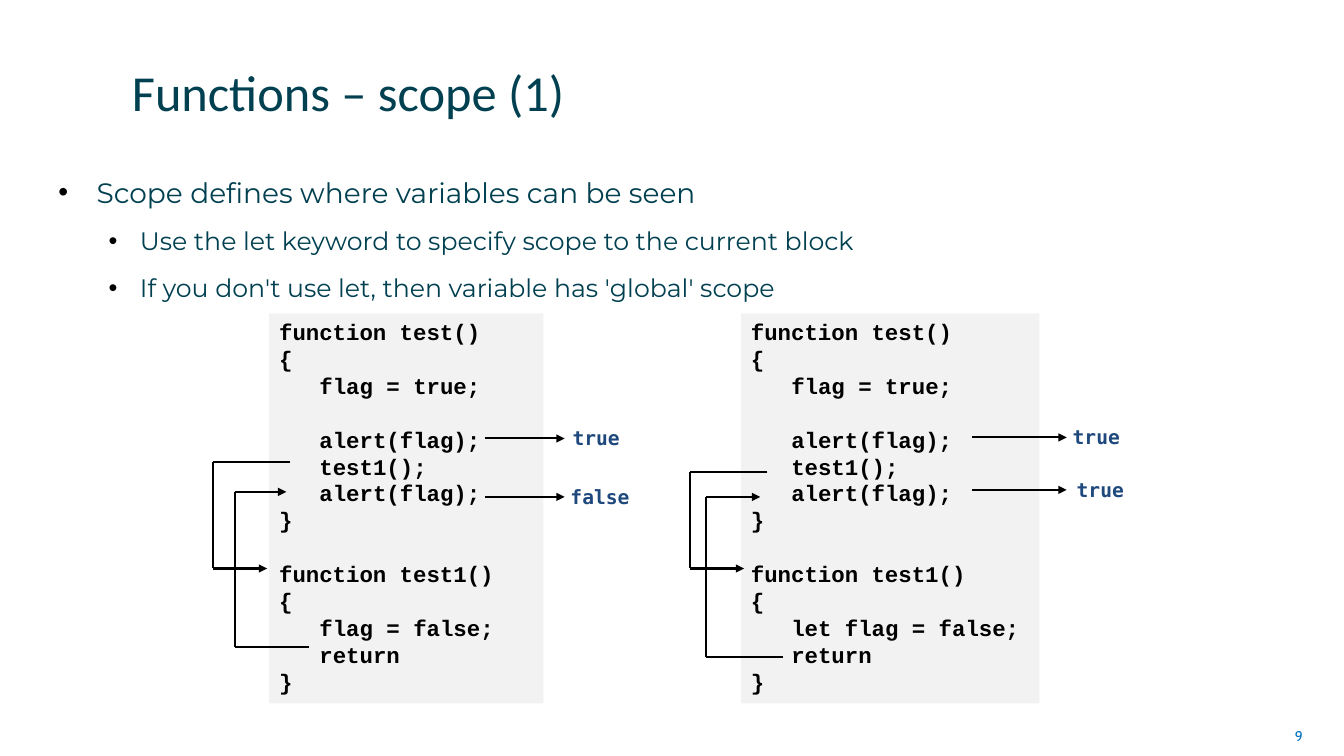
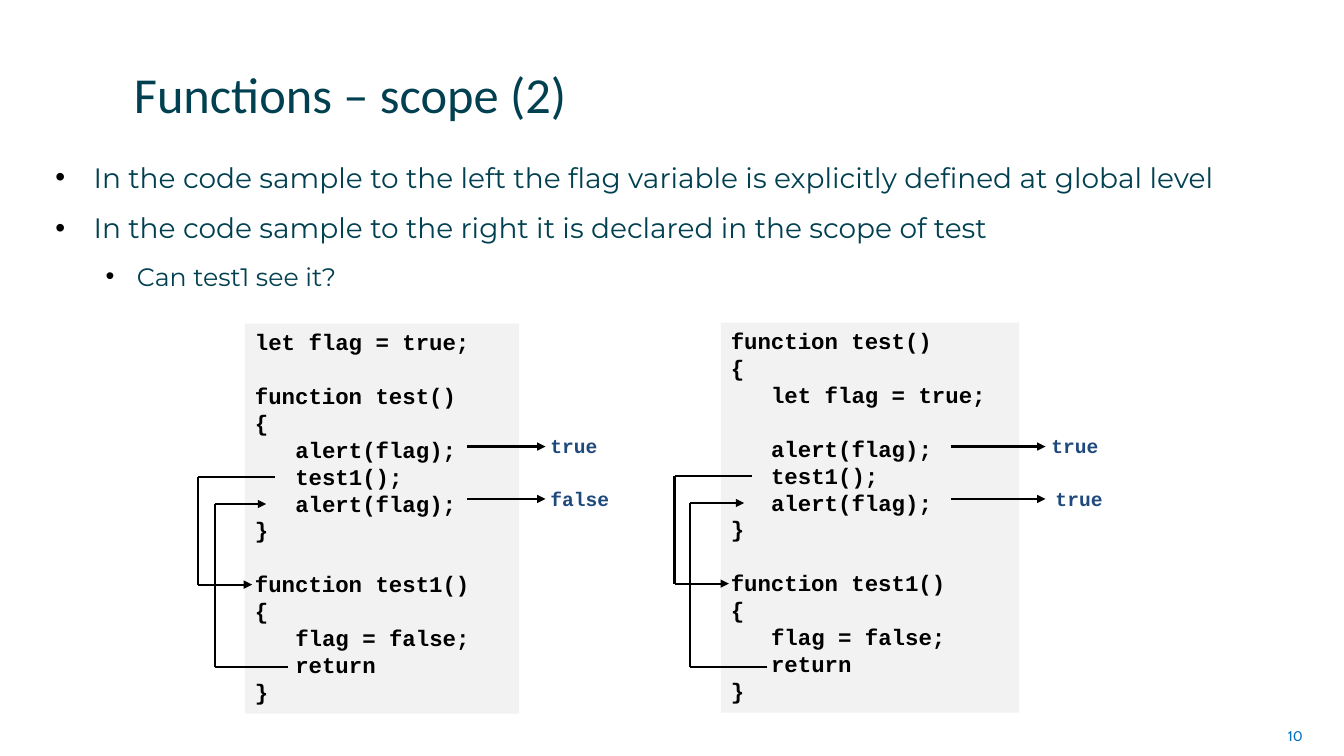
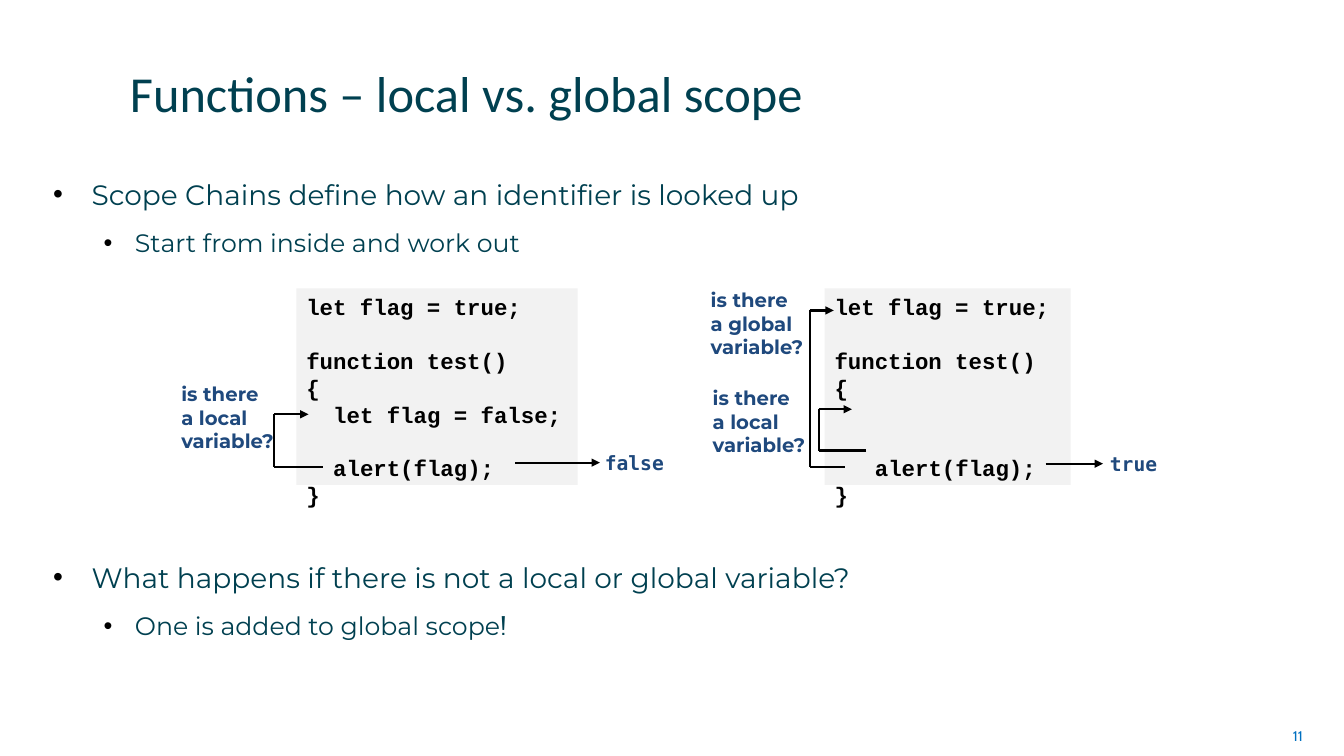
import pptx
import pptx.dml.color
import pptx.enum.shapes
import pptx.enum.text
import pptx.oxml.ns
import pptx.util
from lxml import etree

Inches, Pt = pptx.util.Inches, pptx.util.Pt
qn = pptx.oxml.ns.qn
ALIGN = pptx.enum.text.PP_ALIGN
ANCHOR = pptx.enum.text.MSO_ANCHOR

COLORS = {"ink": "004050", "code": "000000", "panel": "F2F2F2",
          "note": "1F497D", "page": "0070C0"}
CODE, MONO, SANS = "Courier New", "DejaVu Sans Mono", "Montserrat"
FIRST = 9          # number of the first slide
LINE = 19.2        # height of a code line, points
CHAR = 9.6         # width of a code character, points
# size, left margin and hanging indent of each bullet level
LEVELS = [(20, 0.38, -0.38), (18, 0.81, -0.31)]

HEAD = ["function test()", "{"]
CALLS = ["   alert(flag);", "   test1();", "   alert(flag);", "}"]


def test1(line):
    return ["", "function test1()", "{", "   " + line, "   return", "}"]


# bodies: left, top, [(level, text)]        panels: left, top, width, height, lines
# outs: x from, x to, y, word, word left    notes: left, top, width, text
# loops: start x, start y, far left x, tip x, tip y
SLIDES = [
    {"title": ("Functions – scope (1)", 1.21, 0.21, 10.73, 1.02),
     "bodies": [(0.48, 1.69, [
         (0, "Scope defines where variables can be seen"),
         (1, "Use the let keyword to specify scope to the current block"),
         (1, "If you don't use let, then variable has 'global' scope")])],
     "panels": [
         (2.67, 3.11, 2.72, 3.87,
          HEAD + ["   flag = true;", ""] + CALLS + test1("flag = false;")),
         (7.35, 3.11, 2.96, 3.87,
          HEAD + ["   flag = true;", ""] + CALLS + test1("let flag = false;"))],
     "font": MONO,
     "outs": [(4.81, 5.6, 4.35, "true", 5.58), (4.81, 5.6, 4.93, "false", 5.56),
              (9.64, 10.58, 4.34, "true", 10.54), (9.64, 10.58, 4.86, "true", 10.58)],
     "loops": [(2.88, 4.58, 2.11, 2.65, 5.64), (7.61, 4.68, 6.84, 7.38, 5.64),
               (7.77, 6.52, 7.0, 7.54, 4.93), (3.06, 6.42, 2.33, 2.84, 4.88)],
     "notes": []},
    {"title": ("Functions – scope (2)", 1.23, 0.42, 11.3, 0.83),
     "bodies": [(0.45, 1.54, [
         (0, "In the code sample to the left the flag variable is explicitly "
             "defined at global level"),
         (0, "In the code sample to the right it is declared in the scope of test"),
         (1, "Can test1 see it?")])],
     "panels": [
         (2.43, 3.21, 2.72, 3.87,
          ["let flag = true;", ""] + HEAD + CALLS + test1("flag = false;")),
         (7.15, 3.2, 2.96, 3.87,
          HEAD + ["   let flag = true;", ""] + CALLS + test1("flag = false;"))],
     "font": CODE,
     "outs": [(4.63, 5.41, 4.43, "true", 5.36), (4.63, 5.41, 4.95, "false", 5.36),
              (9.43, 10.37, 4.43, "true", 10.33), (9.43, 10.37, 4.95, "true", 10.37)],
     "loops": [(2.73, 4.73, 1.96, 2.5, 5.8), (7.46, 4.72, 6.69, 7.23, 5.79),
               (7.61, 6.62, 6.84, 7.38, 4.99), (2.86, 6.62, 2.13, 2.64, 5.0)],
     "notes": []},
    {"title": ("Functions – local vs. global scope", 1.19, 0.3, 10.65, 0.94),
     "bodies": [
         (0.43, 1.71, [(0, "Scope Chains define how an identifier is looked up"),
                       (1, "Start from inside and work out")]),
         (0.43, 5.51, [(0, "What happens if there is not a local or global variable?"),
                       (1, "One is added to global scope!")])],
     "panels": [
         (2.94, 2.86, 2.79, 1.95,
          ["let flag = true;", ""] + HEAD
          + ["  let flag = false;", "", "  alert(flag);", "}"]),
         (8.18, 2.86, 2.44, 1.95,
          ["let flag = true;", ""] + HEAD + ["", "", "   alert(flag);", "}"])],
     "font": MONO,
     "outs": [(5.11, 5.95, 4.59, "false", 5.9), (10.37, 10.94, 4.6, "true", 10.91)],
     "loops": [(8.59, 4.47, 8.12, 8.45, 4.06), (8.38, 4.63, 8.03, 8.27, 3.08),
               (3.2, 4.63, 2.72, 3.06, 4.11)],
     "notes": [(1.7, 3.74, 1.23, "is there\na local variable?"),
               (6.97, 3.78, 1.23, "is there\na local variable?"),
               (6.95, 2.81, 1.31, "is there\na global variable?")]},
]


def rgb(name):
    return pptx.dml.color.RGBColor.from_string(COLORS[name])


def style(para, size, face, color, bold=False):
    font = para.font
    font.size, font.name, font.bold = Pt(size), face, bold
    font.color.rgb = rgb(color)


def add_text(slide, box, text, size, face, color, bold=False, anchor=ANCHOR.TOP):
    frame = slide.shapes.add_textbox(*map(Inches, box)).text_frame
    frame.word_wrap, frame.vertical_anchor = True, anchor
    frame.text = text
    for para in frame.paragraphs:
        style(para, size, face, color, bold)
    return frame


def add_body(slide, left, top, items):
    text = "\n".join(words for _, words in items)
    frame = add_text(slide, (left, top, 12.47, 1.5), text, 20, SANS, "ink")
    for para, (level, words) in zip(frame.paragraphs, items):
        size, margin, indent = LEVELS[level]
        para.font.size = Pt(size)
        para.space_before = para.space_after = Pt(6)
        props = para._p.get_or_add_pPr()
        props.set("marL", str(Inches(margin)))
        props.set("indent", str(Inches(indent)))
        tint = etree.Element(qn("a:buClr"))
        etree.SubElement(tint, qn("a:srgbClr"), val=COLORS["code"])
        face = etree.Element(qn("a:buFont"), typeface="Arial")
        mark = etree.Element(qn("a:buChar"), char="•")
        spot = props.index(props.find(qn("a:defRPr")))
        props[spot:spot] = [tint, face, mark]
        if words.endswith("!"):
            para.runs[0].text = words[:-1]
            run = para.add_run()
            run.text, run.font.name = "!", "Cabin"


def add_code(slide, left, top, width, height, lines):
    """Draw a code panel; an empty line becomes space before the next one."""
    panel = slide.shapes.add_shape(pptx.enum.shapes.MSO_SHAPE.RECTANGLE,
                                   *map(Inches, (left, top, width, height)))
    panel.shadow.inherit = False
    panel.fill.solid()
    panel.fill.fore_color.rgb = rgb("panel")
    panel.line.fill.background()
    frame = panel.text_frame
    frame.word_wrap, frame.vertical_anchor = True, ANCHOR.TOP
    frame.text = "\n".join(line.strip() for line in lines if line)
    paras, gap = iter(frame.paragraphs), 0
    for line in lines:
        if not line:
            gap += 1
            continue
        para = next(paras)
        style(para, 16, CODE, "code", True)
        para.alignment = ALIGN.LEFT
        para.line_spacing, para.space_before = Pt(LINE), Pt(gap * LINE)
        depth = len(line) - len(line.lstrip())
        para._p.get_or_add_pPr().set("marL", str(Pt(depth * CHAR)))
        gap = 0


def add_line(slide, start, end, arrow=False):
    line = slide.shapes.add_connector(pptx.enum.shapes.MSO_CONNECTOR.STRAIGHT,
                                      *map(Inches, start + end))
    line.line.width = Pt(1.5)
    line.line.color.rgb = rgb("code")
    if arrow:
        etree.SubElement(line.line._get_or_add_ln(), qn("a:tailEnd"), type="triangle")
    etree.SubElement(line._element.spPr, qn("a:effectLst"))


def add_loop(slide, x, y, far, tip, end):
    points = [(x, y), (far, y), (far, end), (tip, end)]
    for i in range(3):
        add_line(slide, points[i], points[i + 1], arrow=i == 2)


def add_slide(deck, number, data):
    slide = deck.slides.add_slide(deck.slide_layouts[6])
    page = add_text(slide, (9.91, 7.1, 3.11, 0.4), str(number), 10, "Cabin", "page",
                    anchor=ANCHOR.MIDDLE)
    page.paragraphs[0].alignment = ALIGN.RIGHT
    title, *box = data["title"]
    frame = add_text(slide, box, title, 36, "Calibri", "ink", anchor=ANCHOR.BOTTOM)
    frame.margin_bottom = Inches(0.02)
    for body in data["bodies"]:
        add_body(slide, *body)
    for panel in data["panels"]:
        add_code(slide, *panel)
    for x, end, y, word, left in data["outs"]:
        add_line(slide, (x, y), (end, y), arrow=True)
        add_text(slide, (left, y - 0.17, 1.05, 0.33), word, 14, data["font"],
                 "note", True)
    for loop in data["loops"]:
        add_loop(slide, *loop)
    for left, top, width, text in data["notes"]:
        add_text(slide, (left, top, width, 0.81), text, 14, SANS, "note", True)


def main():
    deck = pptx.Presentation()
    deck.slide_width, deck.slide_height = Inches(13.33), Inches(7.5)
    for number, data in enumerate(SLIDES, FIRST):
        add_slide(deck, number, data)
    deck.save("out.pptx")


if __name__ == "__main__":
    main()
